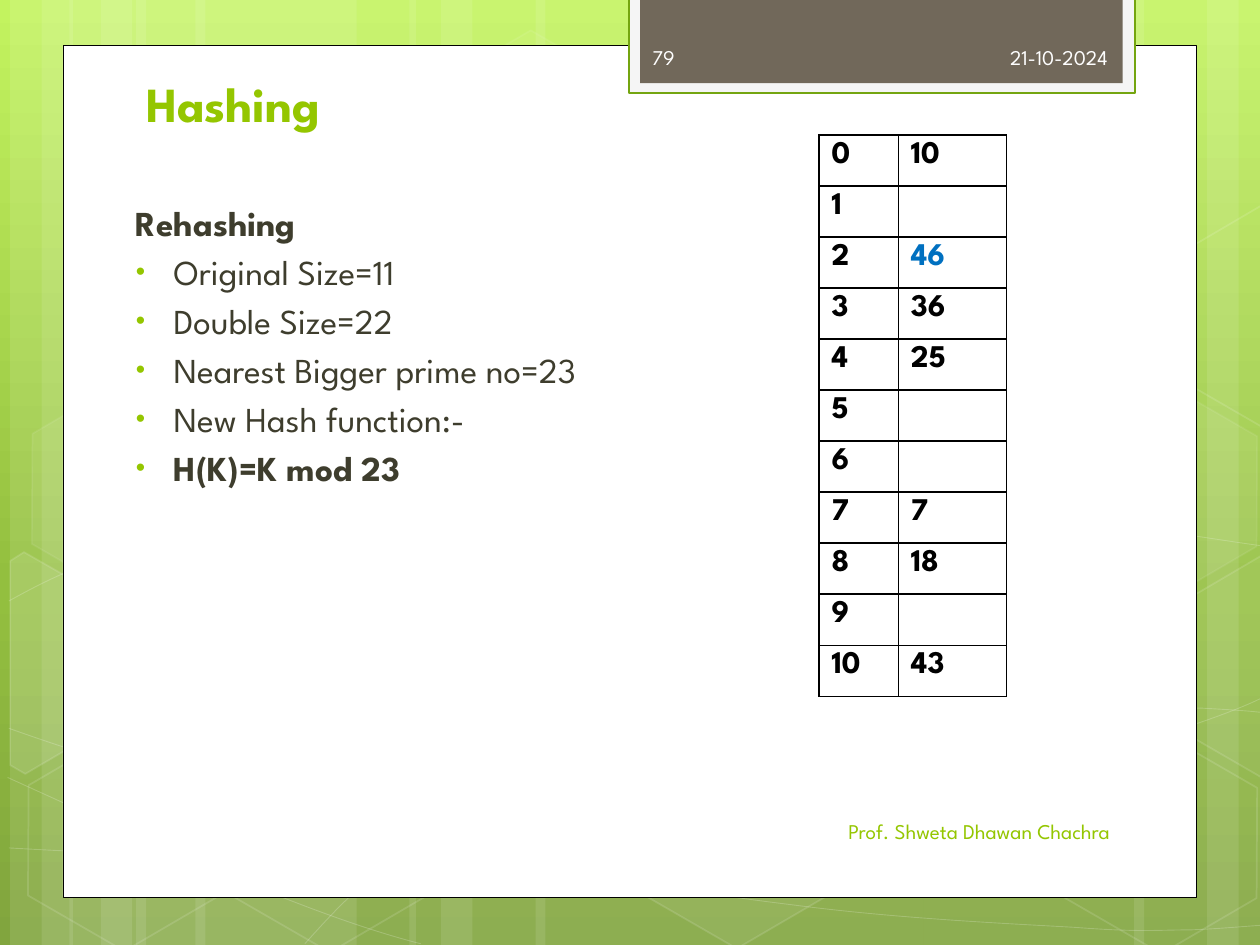
import copy
import math

import pptx
import pptx.dml.color
import pptx.enum.dml
import pptx.enum.shapes
import pptx.enum.text
import pptx.oxml
import pptx.oxml.ns
import pptx.util
from pptx.util import Inches

FONT = "League Spartan"
GREEN, DARK, OFFWHITE = "94C600", "3E3D2D", "FEFEFE"
SHAPE = pptx.enum.shapes.MSO_SHAPE
ALIGN = pptx.enum.text.PP_ALIGN
ANCHOR = pptx.enum.text.MSO_ANCHOR
qn = pptx.oxml.ns.qn

GRADIENT = [(0, "C3F35F"), (0.62, "93BF3F"), (1, "81A53E")]
STRIPES = [
    (1.08, 1.75, 0), (0.08, 0.5, 0), (0.33, 0.83, 0), (1.55, 1.75, 0),
    (0.55, 0.5, 0), (0.8, 0.83, 0), (7.33, 1.75, 180), (9.58, 0.5, 180),
    (9, 0.83, 180), (4.25, 3.08, 0), (3.25, 0.5, 0), (3.5, 0.83, 0),
]
CURVES = [
    [(0.07, 6.73), (0.61, 6.76), (1.15, 6.79), (1.9, 6.78), (2.65, 6.77), (3.58, 6.75),
     (4.58, 6.65), (5.58, 6.55), (7, 6.36), (7.92, 6.17), (8.83, 5.98), (9.77, 5.68), (10.07, 5.51)],
    [(0.07, 4.77), (0.36, 4.61), (0.65, 4.46), (1.21, 4.31), (1.78, 4.16), (2.59, 3.94),
     (3.47, 3.87), (4.36, 3.8), (5.44, 3.79), (6.54, 3.87), (7.64, 3.95), (9.47, 4.26), (10.07, 4.34)],
    [(0.06, 6.17), (1.27, 6.72), (2.47, 7.27), (3.34, 7.49)],
    [(0.07, 5.78), (0.38, 5.89), (0.7, 6), (1.28, 6.16), (1.86, 6.31), (2.73, 6.56),
     (3.57, 6.73), (4.4, 6.9), (5.45, 7.08), (6.28, 7.18), (7.11, 7.29), (8, 7.33),
     (8.53, 7.36), (9.05, 7.4), (9.19, 7.38), (9.45, 7.38), (9.71, 7.37), (9.89, 7.35), (10.07, 7.34)],
    [(2.42, 7.49), (2.6, 7.29), (2.78, 7.09), (3.02, 6.91), (3.26, 6.73), (3.6, 6.53),
     (3.88, 6.39), (4.16, 6.25), (4.33, 6.19), (4.7, 6.09), (5.06, 5.99), (5.73, 5.85),
     (6.08, 5.78), (6.44, 5.71), (6.49, 5.71), (6.8, 5.69), (7.11, 5.66), (7.6, 5.63),
     (7.94, 5.62), (8.29, 5.61), (8.86, 5.62), (8.86, 5.62), (9.08, 5.62), (9.3, 5.62),
     (9.53, 5.62), (9.71, 5.63), (9.88, 5.64), (9.97, 5.65), (10.06, 5.66), (10.03, 5.65), (10.06, 5.66)],
]
HEXAGONS = [
    (3.34, 0.36, 4, 8), (4.97, 5.89, 6, 12), (0.11, 5.91, 0, 12),
    (0.14, 3.12, 7, 8), (1.74, 5.92, 0, 12), (7.53, 4.53, 10, 12),
    (8.34, 5.93, 0, 12), (8.34, 3.14, 7, 8),
]
CUT_HEXAGONS = [
    ([(0.08, 4.45), (0.19, 4.38), (0.96, 4.82), (0.95, 5.7), (0.2, 6.14), (0.08, 6.07)],
     (0.36, 5.35), 10),
    ([(9.26, 4.85), (10.01, 4.41), (10.09, 4.46), (10.09, 6.13), (10.02, 6.17), (9.26, 5.73)],
     (9.85, 5.2), 4),
    ([(9.26, 2.07), (10.01, 1.63), (10.1, 1.68), (10.09, 3.35), (10.02, 3.39), (9.26, 2.95)],
     (9.85, 2.41), 0),
]
BULLETS = ["Original Size=11", "Double Size=22", "Nearest Bigger prime no=23",
           "New Hash function:-", "H(K)=K mod 23"]
SLOTS = ["10", "", "46", "36", "25", "", "", "7", "18", "", "43"]


def rgb(color):
    return pptx.dml.color.RGBColor.from_string(color)


def xml(tag, body="", attrs=""):
    return pptx.oxml.parse_xml(f'<a:{tag} {pptx.oxml.ns.nsdecls("a")} {attrs}>{body}</a:{tag}>')


def paint(fill, color, alpha, parent):
    if not color or not alpha:
        fill.background()
        return
    fill.solid()
    fill.fore_color.rgb = rgb(color)
    if alpha < 100:
        clr = parent.find(qn("a:solidFill")).find(qn("a:srgbClr"))
        clr.append(xml("alpha", attrs=f'val="{alpha * 1000}"'))


def style(sp, fill=None, alpha=100, line=None, width=1, line_alpha=100):
    sp.shadow.inherit = False
    props = sp.element.spPr
    paint(sp.fill, fill, alpha, props)
    paint(sp.line.fill, line, line_alpha, props.get_or_add_ln())
    if line:
        sp.line.width = pptx.util.Pt(width)


def add_preset(s, kind, x, y, w, h, **look):
    sp = s.shapes.add_shape(kind, Inches(x), Inches(y), Inches(w), Inches(h))
    style(sp, **look)
    return sp


def add_outline(s, points, close, **look):
    (x, y), *rest = [(Inches(px), Inches(py)) for px, py in points]
    builder = s.shapes.build_freeform(x, y)
    builder.add_line_segments(rest, close=close)
    sp = builder.convert_to_shape()
    style(sp, **look)
    return sp


def add_curve(s, points, **look):
    sp = add_outline(s, points, False, **look)
    lines = list(sp.element.iter(qn("a:lnTo")))
    for i in range(0, len(lines), 3):
        bezier = xml("cubicBezTo")
        lines[i].addprevious(bezier)
        for line in lines[i:i + 3]:
            bezier.append(line[0])
            line.getparent().remove(line)


def turn(points, center, degrees):
    cx, cy = center
    c, n = math.cos(math.radians(degrees)), math.sin(math.radians(degrees))
    return [(cx + (x - cx) * c - (y - cy) * n, cy + (x - cx) * n + (y - cy) * c) for x, y in points]


def format_runs(p, size, color, bold=False):
    for r in p.runs:
        r.font.name = FONT
        r.font.size = pptx.util.Pt(size)
        r.font.bold = bold
        r.font.color.rgb = rgb(color)


def add_text(s, x, y, w, h, text, color, align=ALIGN.LEFT):
    tf = s.shapes.add_textbox(Inches(x), Inches(y), Inches(w), Inches(h)).text_frame
    tf.word_wrap = True
    tf.vertical_anchor = ANCHOR.MIDDLE
    tf.text = text
    tf.paragraphs[0].alignment = align
    format_runs(tf.paragraphs[0], 12, color)


def add_background(s):
    fill = s.background.fill
    fill.gradient()
    fill.gradient_angle = 270
    stops = s.element.find(".//" + qn("a:gsLst"))
    stops.append(copy.deepcopy(stops[-1]))
    for stop, (position, color) in zip(fill.gradient_stops, GRADIENT):
        stop.position = position
        stop.color.rgb = rgb(color)
    for x, w, rotation in STRIPES:
        add_preset(s, SHAPE.RECTANGLE, x, 0, w, 7.5, fill="FFFFFF", alpha=10).rotation = rotation
    for points in CURVES:
        add_curve(s, points, line="FFFFFF", width=0.5, line_alpha=20)
    for x, y, alpha, line_alpha in HEXAGONS:
        sp = add_preset(s, SHAPE.HEXAGON, x, y, 1.75, 1.52, fill="FFFFFF", alpha=alpha,
                        line="FFFFFF", line_alpha=line_alpha)
        sp.adjustments[0] = 0.285
        sp.rotation = 30
    for points, center, alpha in CUT_HEXAGONS:
        sp = add_outline(s, turn(points, center, -30), True, fill="FFFFFF", alpha=alpha,
                         line="FFFFFF", line_alpha=12)
        sp.rotation = 30


def add_panels(s):
    add_preset(s, SHAPE.RECTANGLE, 0.5, 0.36, 9, 6.76, fill="FFFFFF", line="000000", width=0.5)
    add_preset(s, SHAPE.RECTANGLE, 4.99, -0.02, 4.02, 0.76, fill="F5F5F5", line="74A510", width=1.25)
    add_preset(s, SHAPE.RECTANGLE, 5.08, -0.02, 3.83, 0.68, fill="71685A")


def add_title(s, text):
    sp = s.shapes.title
    s.shapes.element.append(sp.element)
    sp.left, sp.top, sp.width, sp.height = Inches(1.06), Inches(0.52), Inches(7.68), Inches(0.58)
    tf = sp.text_frame
    tf.text = text
    tf.auto_size = pptx.enum.text.MSO_AUTO_SIZE.NONE
    tf.vertical_anchor = ANCHOR.BOTTOM
    tf.paragraphs[0].alignment = ALIGN.LEFT
    format_runs(tf.paragraphs[0], 28, GREEN, True)


def add_body(s, heading, bullets):
    tf = s.shapes.add_textbox(Inches(0.91), Inches(1.55), Inches(5.12), Inches(4.75)).text_frame
    tf.word_wrap = True
    tf.text = "\n".join([heading] + bullets)
    for i, p in enumerate(tf.paragraphs):
        p.space_before = pptx.util.Pt(4)
        format_runs(p, 20, DARK, p.text in (heading, bullets[-1]))
        props = p._p.get_or_add_pPr()
        props.set("marL", str(Inches(0.37 if i else 0.07)))
        if i:
            props.set("indent", str(Inches(-0.3)))
            props.append(xml("buClr", f'<a:srgbClr val="{GREEN}"/>'))
            props.append(xml("buSzPct", attrs='val="76000"'))
            props.append(xml("buFont", attrs='typeface="Arial"'))
            props.append(xml("buChar", attrs='char="•"'))


def add_hash_table(s, slots):
    table = s.shapes.add_table(len(slots), 2, Inches(6.5), Inches(1.07), Inches(1.49), Inches(4.46)).table
    table.first_row = table.horz_banding = False
    table.columns[0].width, table.columns[1].width = Inches(0.63), Inches(0.86)
    for i, slot in enumerate(slots):
        for cell, text in zip(table.rows[i].cells, (str(i), slot)):
            cell.text = text
            format_runs(cell.text_frame.paragraphs[0], 18, "0070C0" if text == "46" else "000000", True)
            props = cell._tc.get_or_add_tcPr()
            for side in ("lnL", "lnR", "lnT", "lnB"):
                props.append(xml(side, '<a:solidFill><a:srgbClr val="000000"/></a:solidFill>', 'w="12700"'))
            cell.fill.background()


def main():
    prs = pptx.Presentation()
    prs.slide_width, prs.slide_height = Inches(10), Inches(7.5)
    s = prs.slides.add_slide(prs.slide_layouts[5])
    add_background(s)
    add_panels(s)
    add_title(s, "Hashing")
    add_body(s, "Rehashing", BULLETS)
    add_text(s, 6.56, 0.25, 2.33, 0.4, "21-10-2024", OFFWHITE, ALIGN.RIGHT)
    add_text(s, 5.08, 6.4, 3.83, 0.4, "Prof. Shweta Dhawan Chachra", GREEN, ALIGN.RIGHT)
    add_text(s, 5.08, 0.25, 1.46, 0.4, "79", OFFWHITE)
    add_hash_table(s, SLOTS)
    prs.save("out.pptx")


if __name__ == "__main__":
    main()
